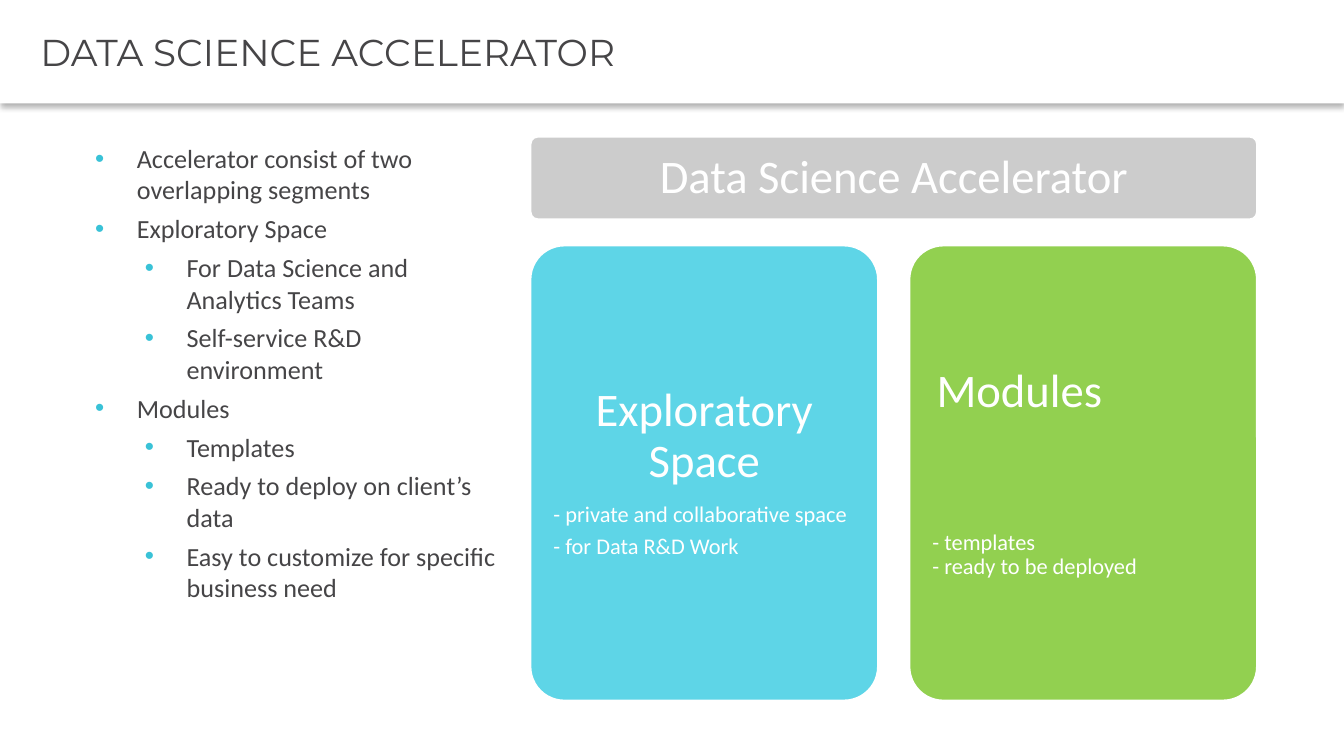
from lxml import etree
from pptx import Presentation
from pptx import util as u
from pptx.dml.color import RGBColor
from pptx.enum import shapes, text
from pptx.oxml import ns

DARK = RGBColor(0x46, 0x45, 0x47)
WHITE = RGBColor(0xFF, 0xFF, 0xFF)
GREY = RGBColor(0xCC, 0xCC, 0xCC)
CYAN = RGBColor(0x5E, 0xD5, 0xE7)
GREEN = RGBColor(0x92, 0xD0, 0x50)
BULLET = RGBColor(0x39, 0xC2, 0xD7)
LEFT, CENTER = text.PP_ALIGN.LEFT, text.PP_ALIGN.CENTER


def child(parent, tag, **attributes):
    return etree.SubElement(parent, ns.qn(tag), attributes)


class AcceleratorSlide:
    """Draws the accelerator slide in one consistent style."""

    body_font = "Calibri"
    title_font = "Montserrat"

    def __init__(self, deck):
        self.slide = deck.slides.add_slide(deck.slide_layouts[6])

    def style(self, paragraph, size, color, font=None):
        paragraph.font.size = u.Pt(size)
        paragraph.font.name = font or self.body_font
        paragraph.font.color.rgb = color

    def indent(self, paragraph, left, first):
        props = paragraph._p.get_or_add_pPr()
        props.set("marL", str(u.Inches(left)))
        props.set("indent", str(u.Inches(first)))
        return props

    def block(self, kind, box, fill):
        block = self.slide.shapes.add_shape(kind, *map(u.Inches, box))
        block.shadow.inherit = False
        block.fill.solid()
        block.fill.fore_color.rgb = fill
        return block

    def frame(self, box):
        frame = self.slide.shapes.add_textbox(*map(u.Inches, box)).text_frame
        frame.word_wrap = True
        return frame

    def paragraphs(self, frame, count):
        return [frame.paragraphs[0]] + [frame.add_paragraph() for _ in range(count - 1)]

    def header(self, title, box):
        header = self.block(shapes.MSO_SHAPE.RECTANGLE, box, WHITE)
        header.line.fill.background()
        effects = header._element.spPr.find(ns.qn("a:effectLst"))
        shadow = child(effects, "a:outerShdw", blurRad=str(u.Pt(3.1)), dist=str(u.Pt(2)),
                       dir="5400000", algn="t", rotWithShape="0")
        child(child(shadow, "a:srgbClr", val="000000"), "a:alpha", val="30000")
        frame = header.text_frame
        frame.margin_left, frame.margin_right = u.Inches(0.3), u.Inches(0.07)
        frame.margin_top = frame.margin_bottom = u.Inches(0.04)
        frame.vertical_anchor = text.MSO_ANCHOR.MIDDLE
        heading = frame.paragraphs[0]
        heading.text = title
        heading.alignment = LEFT
        self.style(heading, 20, DARK, self.title_font)

    def bullets(self, items, box):
        frame = self.frame(box)
        frame.auto_size = text.MSO_AUTO_SIZE.SHAPE_TO_FIT_TEXT
        for item, (level, wording) in zip(self.paragraphs(frame, len(items)), items):
            item.text = wording
            item.level = level
            item.space_before = item.space_after = u.Pt(2)
            props = self.indent(item, 0.31 + 0.37 * level, -0.31)
            child(child(props, "a:buClr"), "a:srgbClr", val=str(BULLET))
            child(props, "a:buFont", typeface="Arial")
            child(props, "a:buChar", char="•")
            self.style(item, 14, DARK)

    def card(self, box, fill, inset, lines):
        card = self.block(shapes.MSO_SHAPE.ROUNDED_RECTANGLE, box, fill)
        card.adjustments[0] = 0.1
        card.line.color.rgb = WHITE
        card.line.width = u.Pt(2)
        left, top, width, height = box
        frame = self.frame((left + inset, top + inset, width - 2 * inset, height - 2 * inset))
        frame.margin_left = frame.margin_right = u.Inches(0.1)
        frame.margin_top = frame.margin_bottom = u.Inches(0.1)
        frame.vertical_anchor = text.MSO_ANCHOR.MIDDLE
        for line, (wording, size, align, gap, shift) in zip(self.paragraphs(frame, len(lines)), lines):
            line.text = wording
            line.alignment = align
            line.line_spacing = 0.9
            line.space_after = u.Pt(gap)
            self.indent(line, shift, 0)
            self.style(line, size, WHITE)


deck = Presentation()
deck.slide_width, deck.slide_height = u.Inches(10), u.Inches(10 * 9 / 16)
page = AcceleratorSlide(deck)

page.header("DATA SCIENCE ACCELERATOR", (0, 0, 10, 0.77))
page.bullets([
    (0, "Accelerator consist of two overlapping segments"),
    (0, "Exploratory Space"),
    (1, "For Data Science and Analytics Teams"),
    (1, "Self-service R&D environment"),
    (0, "Modules"),
    (1, "Templates"),
    (1, "Ready to deploy on client’s data"),
    (1, "Easy to customize for specific business need"),
], (0.61, 1.01, 3.21, 3.85))

page.card((3.94, 1.01, 5.42, 0.63), GREY, 0.02,
          [("Data Science Accelerator", 25, CENTER, 8.75, 0)])
segments = [
    (CYAN, [("Exploratory Space", 25, CENTER, 8.75, 0),
            ("- private and collaborative space", 12, LEFT, 4.2, 0),
            ("- for Data R&D Work", 12, LEFT, 4.2, 0)]),
    (GREEN, [("Modules", 25, LEFT, 61, 0.03),
             ("- templates\v- ready to be deployed", 12, LEFT, 4.2, 0)]),
]
for column, (fill, lines) in enumerate(segments):
    page.card((3.94 + 2.82 * column, 1.82, 2.6, 3.4), fill, 0.08, lines)

deck.save("out.pptx")
